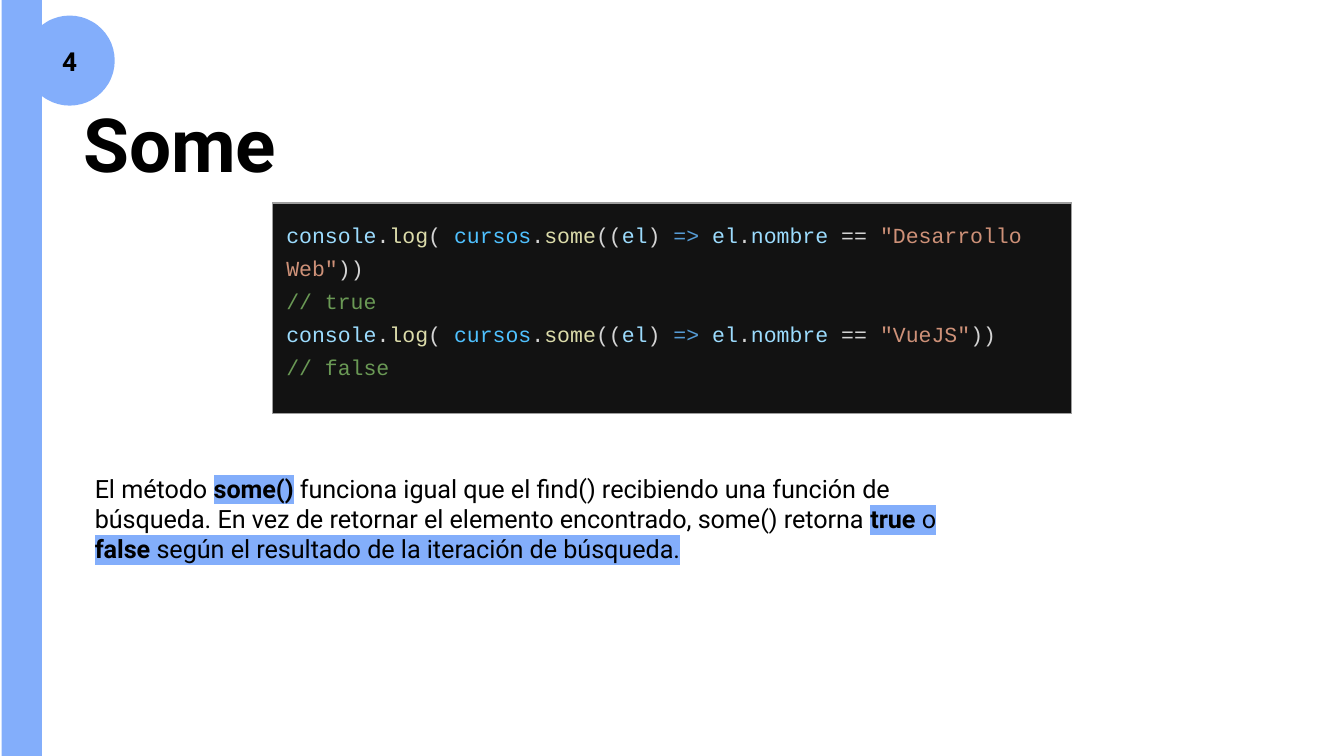
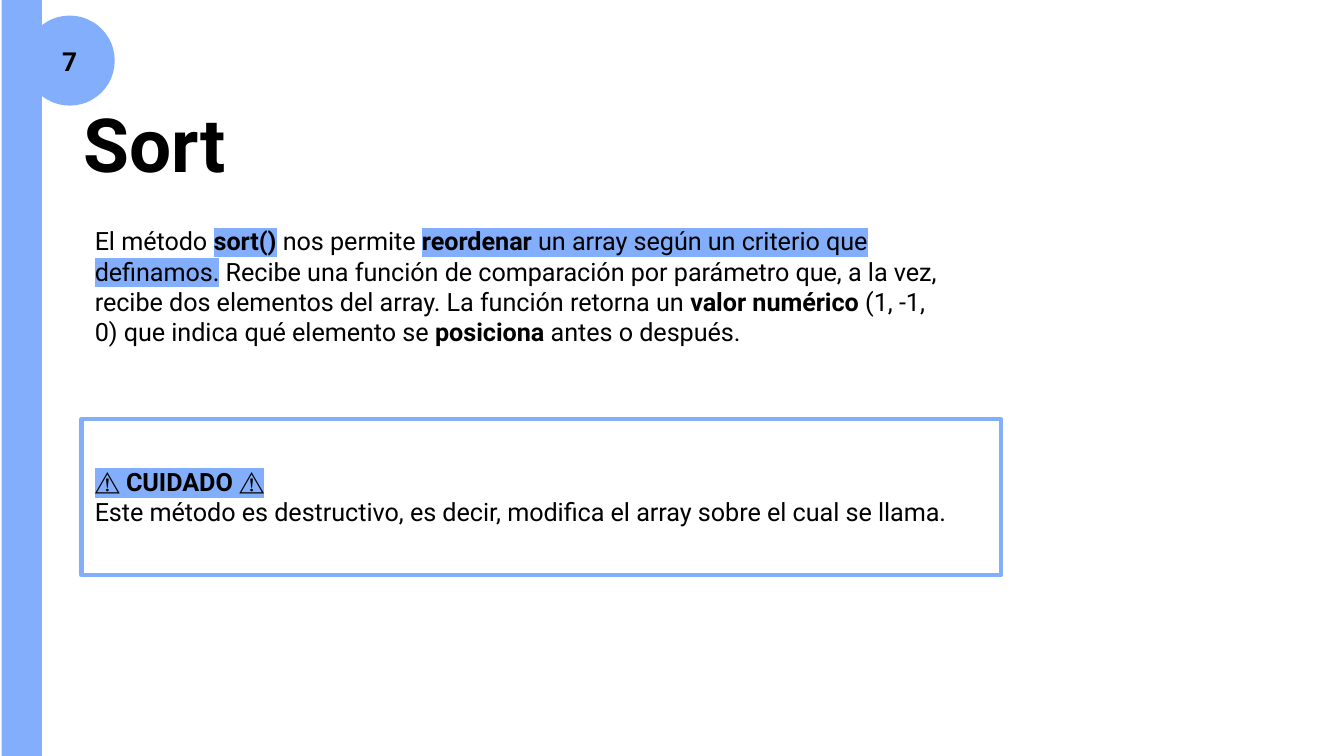
"""Build two slides on the array methods some() and sort()."""
import lxml.etree
import pptx
import pptx.dml.color
import pptx.enum.shapes
import pptx.enum.text
import pptx.oxml.ns
import pptx.util

BLUE, BLACK, WHITE = "83AEFB", "000000", "FFFFFF"
CODE_BACK, CODE_EDGE = "121212", "9E9E9E"
NAME, PLAIN, CALL, CONST = "9CDCFE", "D4D4D4", "DCDCAA", "4FC1FF"
ARROW, STRING, COMMENT = "569CD6", "CE9178", "6A9955"
BOLD, MARK = {"bold": True}, {"mark": BLUE}
BOLD_MARK = BOLD | MARK
RECTANGLE = pptx.enum.shapes.MSO_SHAPE.RECTANGLE
OVAL = pptx.enum.shapes.MSO_SHAPE.OVAL
INSET = pptx.util.Inches(0.1)


def colour(code):
    return pptx.dml.color.RGBColor.from_string(code)


def write(para, text, size=13.5, font="Roboto", ink=BLACK, bold=False, mark=None):
    span = para.add_run()
    span.text = text
    span.font.size = pptx.util.Pt(size)
    span.font.bold = bold
    span.font.color.rgb = colour(ink)
    if mark:
        highlight = lxml.etree.SubElement(span.font._element, pptx.oxml.ns.qn("a:highlight"))
        lxml.etree.SubElement(highlight, pptx.oxml.ns.qn("a:srgbClr"), val=mark)
    span.font.name = font


code_lines = []
for course, answer in (("Desarrollo Web", "true"), ("VueJS", "false")):
    code_lines.append([
        ("console", NAME), (".", PLAIN), ("log", CALL), ("( ", PLAIN),
        ("cursos", CONST), (".", PLAIN), ("some", CALL), ("((", PLAIN),
        ("el", NAME), (") ", PLAIN), ("=> ", ARROW), ("el", NAME),
        (".", PLAIN), ("nombre", NAME), (" == ", PLAIN),
        (f'"{course}"', STRING), ("))", PLAIN),
    ])
    code_lines.append([(f"// {answer}", COMMENT)])

some_text = [[
    ("El método ", {}), ("some()", BOLD_MARK),
    (" funciona igual que el find() recibiendo una función de búsqueda. "
     "En vez de retornar el elemento encontrado, some() retorna ", {}),
    ("true ", BOLD_MARK), ("o ", MARK), ("false ", BOLD_MARK),
    ("según el resultado de la iteración de búsqueda.", MARK),
]]
sort_text = [[
    ("El método ", {}), ("sort()", BOLD_MARK), (" nos permite ", {}),
    ("reordenar ", BOLD_MARK), ("un array según un criterio que definamos.", MARK),
    (" Recibe una función de comparación por parámetro que, a la vez, recibe "
     "dos elementos del array. La función retorna un ", {}),
    ("valor numérico", BOLD), (" (1, -1, 0) que indica qué elemento se ", {}),
    ("posiciona ", BOLD), ("antes o después.", {}),
]]
warning_text = [
    [("⚠ ", MARK), ("CUIDADO ", BOLD_MARK), ("⚠", MARK)],
    [("Este método es destructivo, es decir, modifica el array sobre el cual se llama.", {})],
]

slides = [
    ("Some", "4", code_lines, [
        ((6.07, 34.2, 88.7, 8.8), WHITE, 0.75, 24.5, some_text),
    ]),
    ("Sort", "7", [], [
        ((6.07, 15.8, 88.7, 13.4), None, 0, 24.5, sort_text),
        ((6.07, 31.2, 68.4, 11.6), BLUE, 2.25, 1, []),
        ((6.07, 33.7, 86, 6.6), None, 0, 1, warning_text),
    ]),
]

deck = pptx.Presentation()
deck.slide_width = pptx.util.Inches(10)
deck.slide_height = deck.slide_width * 9 // 16
cell_side = deck.slide_width // 100

for heading, number, code, blocks in slides:
    page = deck.slides.add_slide(deck.slide_layouts[5])

    title = page.shapes.title
    title.left, title.top, title.width, title.height = [
        int(n * cell_side) for n in (5.2, 7.05, 89.6, 8.1)]
    frame = title.text_frame
    frame.margin_left = frame.margin_right = INSET
    frame.margin_top = frame.margin_bottom = INSET
    frame.word_wrap = True
    frame.auto_size = pptx.enum.text.MSO_AUTO_SIZE.NONE
    frame.vertical_anchor = pptx.enum.text.MSO_ANCHOR.TOP
    frame.paragraphs[0].alignment = pptx.enum.text.PP_ALIGN.LEFT
    frame.paragraphs[0].line_spacing = 0.9
    write(frame.paragraphs[0], heading, size=40, bold=True)

    for spot, edge, weight, right_inset, paragraphs in blocks:
        place = [int(n * cell_side) for n in spot]
        if edge:
            box = page.shapes.add_shape(RECTANGLE, *place)
            box.shadow.inherit = False
            box.fill.background()
            box.line.color.rgb = colour(edge)
            box.line.width = pptx.util.Pt(weight)
        else:
            box = page.shapes.add_textbox(*place)
        frame = box.text_frame
        frame.word_wrap = True
        frame.vertical_anchor = pptx.enum.text.MSO_ANCHOR.TOP
        frame.margin_left = frame.margin_top = frame.margin_bottom = INSET
        frame.margin_right = int(right_inset * cell_side)
        for index, spans in enumerate(paragraphs):
            para = frame.add_paragraph() if index else frame.paragraphs[0]
            para.alignment = pptx.enum.text.PP_ALIGN.LEFT
            for text, style in spans:
                write(para, text, **style)

    if code:
        place = [int(n * cell_side) for n in (20.3, 15.1, 59.4, 15.7)]
        table = page.shapes.add_table(1, 1, *place).table
        table.first_row = table.horz_banding = False
        cell = table.cell(0, 0)
        cell.fill.solid()
        cell.fill.fore_color.rgb = colour(CODE_BACK)
        cell.margin_left = cell.margin_right = INSET
        cell.margin_top = cell.margin_bottom = INSET
        properties = cell._tc.get_or_add_tcPr()
        for index, side in enumerate(("lnL", "lnR", "lnT", "lnB")):
            border = lxml.etree.Element(
                pptx.oxml.ns.qn("a:" + side), w=str(int(pptx.util.Pt(0.75))))
            paint = lxml.etree.SubElement(border, pptx.oxml.ns.qn("a:solidFill"))
            lxml.etree.SubElement(paint, pptx.oxml.ns.qn("a:srgbClr"), val=CODE_EDGE)
            properties.insert(index, border)
        for index, spans in enumerate(code):
            para = cell.text_frame.add_paragraph() if index else cell.text_frame.paragraphs[0]
            para.line_spacing = 1.36
            for text, ink in spans:
                write(para, text, size=11.5, font="Courier New", ink=ink)

    for shape_kind, spot, label in (
        (RECTANGLE, (0.13, 0, 3, 56.25), ""),
        (OVAL, (1.84, 1.16, 6.7, 6.7), number),
    ):
        badge = page.shapes.add_shape(shape_kind, *[int(n * cell_side) for n in spot])
        badge.shadow.inherit = False
        badge.fill.solid()
        badge.fill.fore_color.rgb = colour(BLUE)
        badge.line.fill.background()
        if label:
            frame = badge.text_frame
            frame.margin_left = frame.margin_right = INSET
            frame.margin_top = frame.margin_bottom = INSET
            frame.vertical_anchor = pptx.enum.text.MSO_ANCHOR.MIDDLE
            frame.paragraphs[0].alignment = pptx.enum.text.PP_ALIGN.CENTER
            write(frame.paragraphs[0], label, size=14, bold=True)

deck.save("out.pptx")
